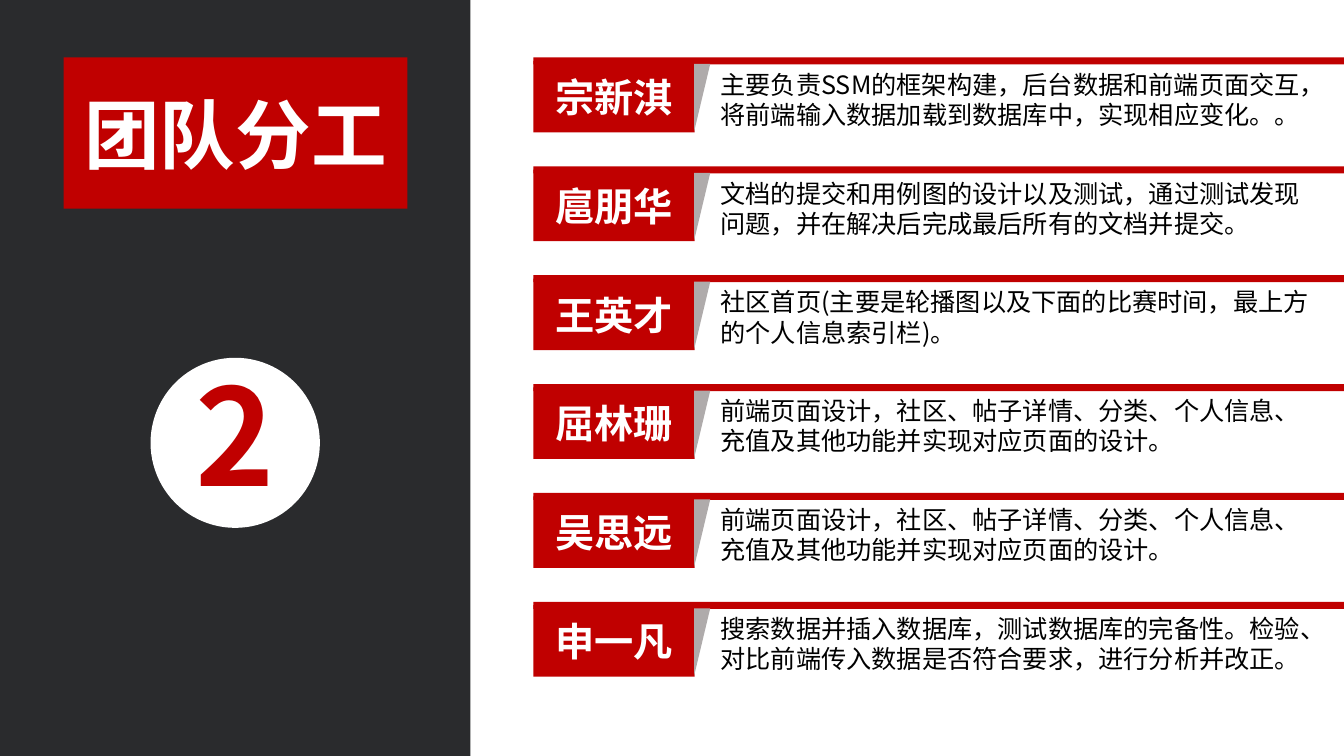
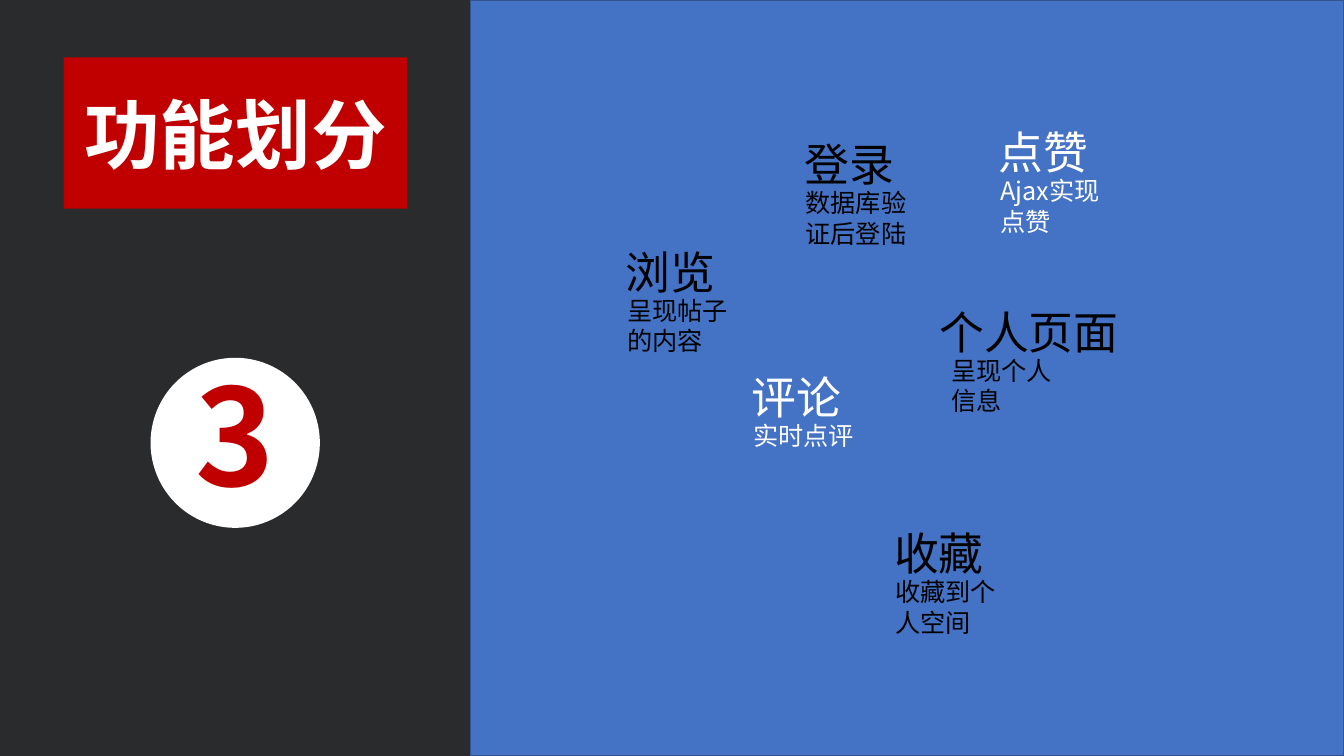
from pptx import Presentation
from pptx.dml.color import RGBColor
from pptx.enum.shapes import MSO_SHAPE
from pptx.enum.text import MSO_ANCHOR, MSO_AUTO_SIZE, PP_ALIGN
from pptx.oxml.ns import qn
from pptx.util import Inches, Pt

WIDE, HIGH = Inches(13.333), Inches(7.5)
FONT = "Noto Sans CJK SC"
RED, DARK, WHITE, BLACK = "C00000", "2A2B2D", "FFFFFF", "000000"
GREY, BLUE, NAVY = "AFABAB", "4472C4", "325491"

# Lengths are percentages of the slide's width and height.
SIDE = 35
ROW_LEFT, ROW_TOP, ROW_STEP = 39.68, 7.6, 14.4
TWO_LINES = 9.47

DUTIES = [
    ("宗新淇", "主要负责SSM的框架构建，后台数据和前端页面交互，将前端输入数据加载到数据库中，实现相应变化。。"),
    ("扈朋华", "文档的提交和用例图的设计以及测试，通过测试发现问题，并在解决后完成最后所有的文档并提交。"),
    ("王英才", "社区首页(主要是轮播图以及下面的比赛时间，最上方的个人信息索引栏)。"),
    ("屈林珊", "前端页面设计，社区、帖子详情、分类、个人信息、充值及其他功能并实现对应页面的设计。"),
    ("吴思远", "前端页面设计，社区、帖子详情、分类、个人信息、充值及其他功能并实现对应页面的设计。"),
    ("申一凡", "搜索数据并插入数据库，测试数据库的完备性。检验、对比前端传入数据是否符合要求，进行分析并改正。"),
]

# Left, top, heading, note, text colour, indent of the note
FEATURES = [
    (59.1, 17.47, "登录", "数据库验证后登陆", BLACK, 0.1),
    (45.83, 31.73, "浏览", "呈现帖子的内容", BLACK, 0.1),
    (69.15, 39.6, "个人页面", "呈现个人信息", BLACK, 0.9),
    (73.58, 15.87, "点赞", "Ajax实现点赞", WHITE, 0.1),
    (55.2, 48.27, "评论", "实时点评", WHITE, 0.1),
    (65.78, 68.93, "收藏", "收藏到个人空间", BLACK, 0.1),
]


def color(code):
    return RGBColor.from_string(code)


def area(left, top, width, height):
    """Turn percentages of the slide into lengths."""
    return (int(WIDE * left / 100), int(HIGH * top / 100),
            int(WIDE * width / 100), int(HIGH * height / 100))


def paint(shape, fill, line=None):
    shape.fill.solid()
    shape.fill.fore_color.rgb = color(fill)
    if line:
        shape.line.color.rgb = color(line)
        shape.line.width = Pt(1)
    else:
        shape.line.fill.background()


def write(shape, text, size=18, ink=BLACK, bold=False, align=PP_ALIGN.LEFT,
          anchor=MSO_ANCHOR.TOP, spacing=1.0):
    frame = shape.text_frame
    frame.word_wrap = True
    frame.auto_size = MSO_AUTO_SIZE.NONE
    frame.vertical_anchor = anchor
    para = frame.paragraphs[0]
    para.alignment = align
    para.line_spacing = spacing
    run = para.add_run()
    run.text = text
    font = run.font
    font.name, font.size, font.bold = FONT, Pt(size), bold
    font.color.rgb = color(ink)
    east = run._r.get_or_add_rPr().makeelement(qn("a:ea"), {"typeface": FONT})
    run._r.rPr.find(qn("a:latin")).addnext(east)


def label(shape, text, size, ink=WHITE, **style):
    """Write bold text in the middle of a shape."""
    write(shape, text, size=size, ink=ink, bold=True,
          align=PP_ALIGN.CENTER, anchor=MSO_ANCHOR.MIDDLE, **style)


def block(slide, place, fill, kind=MSO_SHAPE.RECTANGLE, line=None):
    shape = slide.shapes.add_shape(kind, *area(*place))
    shape.shadow.inherit = False
    paint(shape, fill, line)
    return shape


def note(slide, place, text, **style):
    write(slide.shapes.add_textbox(*area(*place)), text, **style)


def start(deck, title, number):
    """Add a slide with the dark side band, the title and the number."""
    slide = deck.slides.add_slide(deck.slide_layouts[5])
    block(slide, (0, 0, SIDE, 100), DARK)
    head = slide.shapes.title
    head.left, head.top, head.width, head.height = area(4.73, 7.6, 25.58, 20)
    paint(head, RED)
    label(head, title, 54)
    slide.shapes._spTree.append(head._element)  # bring in front of the band
    disc = block(slide, (11.2, 47.33, 12.6, 22.5), WHITE, MSO_SHAPE.OVAL)
    label(disc, number, 96, ink=RED, spacing=0.9)
    return slide


def duty(slide, top, name, text):
    block(slide, (ROW_LEFT, top, 100 - ROW_LEFT, 0.93), RED)
    tag = block(slide, (ROW_LEFT, top + 0.45, 12, TWO_LINES), RED)
    label(tag, name, 28)
    note(slide, (52.88, top + 0.87, 45.9, TWO_LINES), text)
    fold = block(slide, (49.73, top + 4.27, 5.03, 2.13), GREY,
                 MSO_SHAPE.RIGHT_TRIANGLE)
    fold.rotation = 90


def feature(slide, left, top, head, text, ink, indent):
    note(slide, (left, top, 15.3, 8.53), head, size=32, ink=ink)
    note(slide, (left + indent, top + 6.7, 10.05, TWO_LINES), text, ink=ink)


def main():
    deck = Presentation()
    deck.slide_width, deck.slide_height = WIDE, HIGH

    team = start(deck, "团队分工", "2")
    for row, (name, text) in enumerate(DUTIES):
        duty(team, ROW_TOP + row * ROW_STEP, name, text)

    parts = start(deck, "功能划分", "3")
    block(parts, (SIDE, 0, 100 - SIDE, 100), BLUE, line=NAVY)
    for item in FEATURES:
        feature(parts, *item)

    deck.save("out.pptx")


if __name__ == "__main__":
    main()
